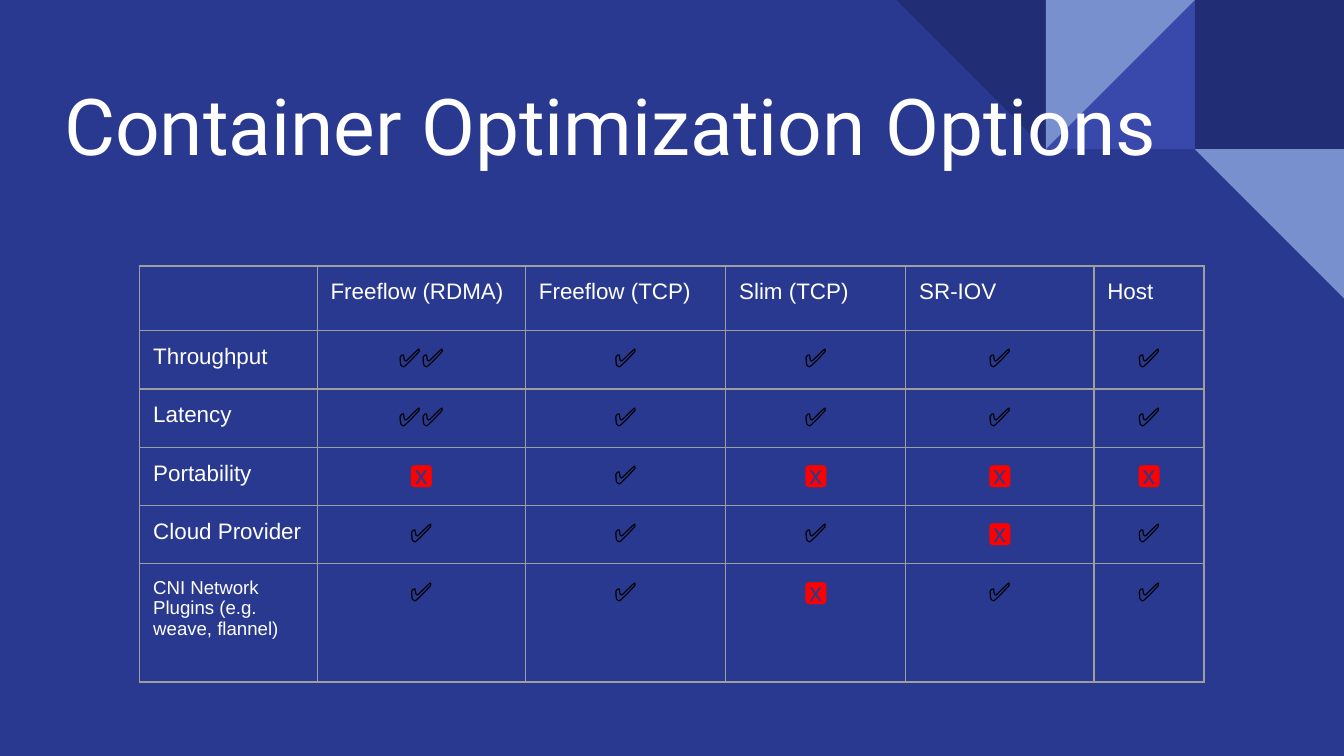
"""Build the slide that compares container optimization options."""
from dataclasses import dataclass
from typing import Any

from lxml import etree
from pptx import Presentation
from pptx import util as u
from pptx.dml import color
from pptx.enum import shapes, text
from pptx.oxml import ns

OPTIONS = ["Freeflow (RDMA)", "Freeflow (TCP)", "Slim (TCP)", "SR-IOV", "Host"]
RATINGS = {
    "Throughput": ["✅✅", "✅", "✅", "✅", "✅"],
    "Latency": ["✅✅", "✅", "✅", "✅", "✅"],
    "Portability": ["🆇", "✅", "🆇", "🆇", "🆇"],
    "Cloud Provider": ["✅", "✅", "✅", "🆇", "✅"],
    "CNI Network\nPlugins (e.g. weave, flannel)": ["✅", "✅", "🆇", "✅", "✅"],
}
COLUMN_WIDTHS = [1.32, 1.55, 1.49, 1.34, 1.4, 0.82]
ROW_HEIGHTS = [0.48] + [0.42] * 4 + [0.88]
TILE = 1.11
RECTANGLE = shapes.MSO_SHAPE.RECTANGLE
TRIANGLE = shapes.MSO_SHAPE.RIGHT_TRIANGLE


def rgb(value):
    return color.RGBColor.from_string(value)


def write(frame, content, size=12, ink="FFFFFF", font="Arial", align=text.PP_ALIGN.LEFT):
    for index, line in enumerate(content.split("\n")):
        paragraph = frame.paragraphs[0] if index == 0 else frame.add_paragraph()
        paragraph.alignment = align
        if line:
            run = paragraph.add_run()
            run.text = line
            run.font.size = u.Pt(size)
            run.font.color.rgb = rgb(ink)
            style = run.font._element
        else:
            style = etree.SubElement(paragraph._p, ns.qn("a:endParaRPr"), sz=str(size * 100))
        for script in ("a:latin", "a:ea", "a:cs", "a:sym"):
            if script != "a:sym":
                etree.SubElement(style, ns.qn(script), typeface=font)
            else:
                etree.SubElement(style, ns.qn(script), typeface=font)


@dataclass
class Deck:
    slide: Any
    border: str = "9E9E9E"
    border_width: float = 0.75
    inset: float = 0.1

    def background(self, fill):
        self.slide.background.fill.solid()
        self.slide.background.fill.fore_color.rgb = rgb(fill)

    def tile(self, kind, column, row, fill, rotation=0):
        left = 10 - (3 - column) * TILE
        tile = self.slide.shapes.add_shape(
            kind, u.Inches(left), u.Inches(row * TILE), u.Inches(TILE), u.Inches(TILE))
        tile.rotation = rotation
        tile.shadow.inherit = False
        tile.fill.solid()
        tile.fill.fore_color.rgb = rgb(fill)
        tile.line.fill.background()

    def pad(self, target):
        target.margin_left = target.margin_right = u.Inches(self.inset)
        target.margin_top = target.margin_bottom = u.Inches(self.inset)

    def title(self, content, left, top, width, height):
        frame = self.slide.shapes.add_textbox(
            u.Inches(left), u.Inches(top), u.Inches(width), u.Inches(height)).text_frame
        frame.word_wrap = True
        frame.vertical_anchor = text.MSO_ANCHOR.BOTTOM
        self.pad(frame)
        write(frame, content, size=42, font="Roboto")

    def cell(self, cell, content, **style):
        self.pad(cell)
        cell.fill.background()
        properties = cell._tc.get_or_add_tcPr()
        for index, side in enumerate(["a:lnL", "a:lnR", "a:lnT", "a:lnB"]):
            edge = etree.Element(ns.qn(side), w=str(u.Pt(self.border_width)))
            fill = etree.SubElement(edge, ns.qn("a:solidFill"))
            etree.SubElement(fill, ns.qn("a:srgbClr"), val=self.border)
            properties.insert(index, edge)
        write(cell.text_frame, content, **style)

    def table(self, left, top, widths, heights):
        table = self.slide.shapes.add_table(
            len(heights), len(widths), u.Inches(left), u.Inches(top),
            u.Inches(sum(widths)), u.Inches(sum(heights))).table
        table.first_row = table.horz_banding = False
        for column, width in zip(table.columns, widths):
            column.width = u.Inches(width)
        for row, height in zip(table.rows, heights):
            row.height = u.Inches(height)
        return table


def main():
    presentation = Presentation()
    presentation.slide_width = u.Inches(10)
    presentation.slide_height = u.Inches(10 * 9 / 16)
    deck = Deck(presentation.slides.add_slide(presentation.slide_layouts[6]))
    deck.background("2A3990")

    deck.tile(RECTANGLE, 2, 0, "212D74")
    deck.tile(TRIANGLE, 1, 0, "3949AB", 270)
    deck.tile(TRIANGLE, 1, 0, "7890CD", 90)
    deck.tile(TRIANGLE, 0, 0, "212D74", 180)
    deck.tile(TRIANGLE, 2, 1, "7890CD", 180)
    deck.title("Container Optimization Options", 0.38, 0.45, 8.99, 0.92)

    table = deck.table(1.04, 1.98, COLUMN_WIDTHS, ROW_HEIGHTS)
    for column, heading in enumerate([""] + OPTIONS):
        deck.cell(table.cell(0, column), heading)
    for row, (criterion, marks) in enumerate(RATINGS.items(), 1):
        deck.cell(table.cell(row, 0), criterion, size=10 if "\n" in criterion else 12)
        for column, mark in enumerate(marks, 1):
            deck.cell(table.cell(row, column), mark, size=14, align=text.PP_ALIGN.CENTER,
                      ink="FF0000" if mark == "🆇" else "000000")

    presentation.save("out.pptx")


if __name__ == "__main__":
    main()
